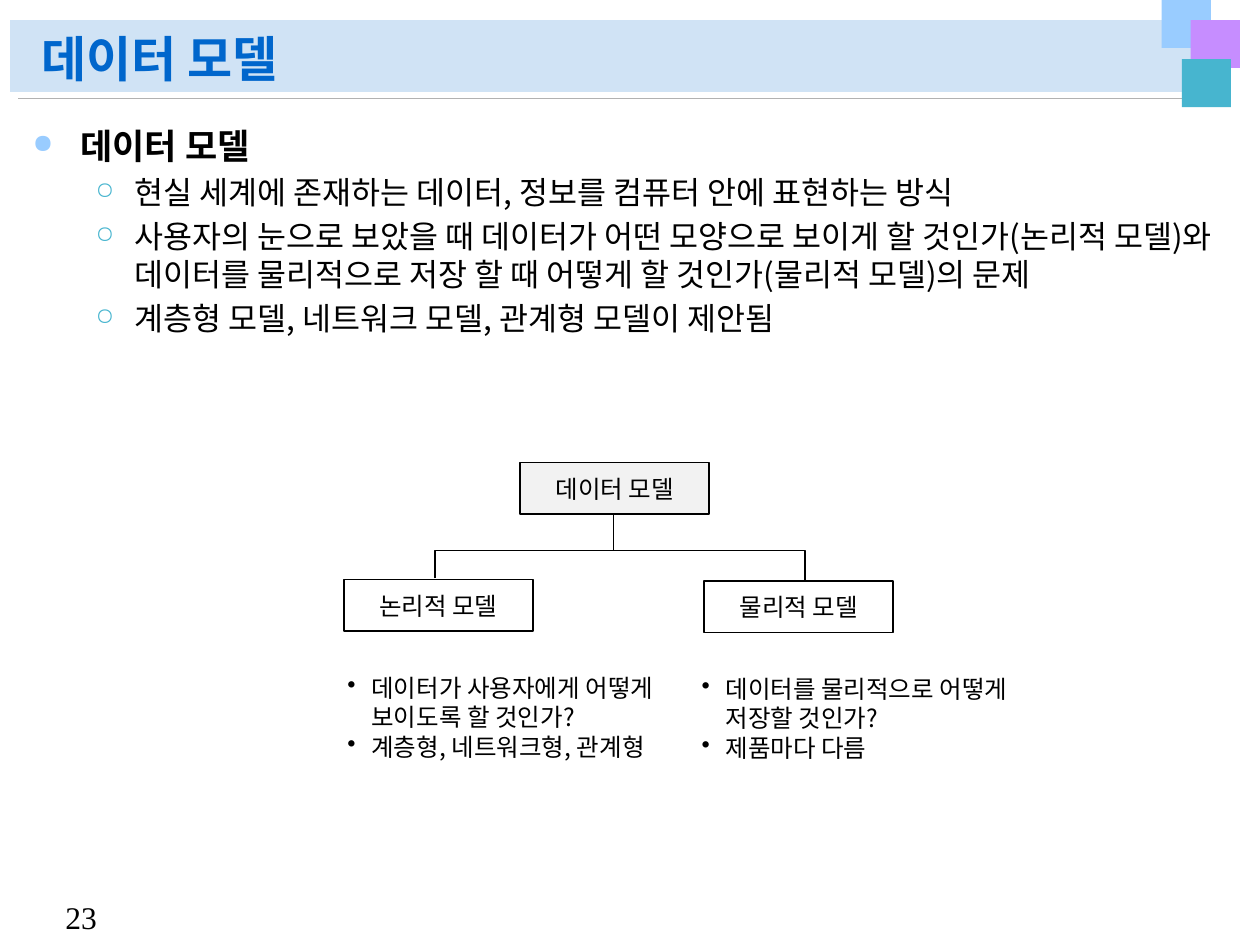
from dataclasses import dataclass

from lxml import etree
from pptx import Presentation
from pptx.dml.color import RGBColor
from pptx.enum.shapes import MSO_CONNECTOR, MSO_SHAPE
from pptx.enum.text import MSO_ANCHOR, PP_ALIGN
from pptx.oxml.ns import qn
from pptx.util import Inches, Pt

RECT = MSO_SHAPE.RECTANGLE
LINE = MSO_CONNECTOR.STRAIGHT
TOP, MIDDLE, BOTTOM = MSO_ANCHOR.TOP, MSO_ANCHOR.MIDDLE, MSO_ANCHOR.BOTTOM
LEFT, CENTER = PP_ALIGN.LEFT, PP_ALIGN.CENTER

SANS = "Noto Sans CJK KR"
SERIF = "Times New Roman"
COLORS = {
    "black": "000000",
    "white": "FFFFFF",
    "band": "D0E3F5",
    "sky": "99CCFF",
    "violet": "C68DFF",
    "teal": "47B5CF",
    "title": "0066CC",
    "rule": "B2B2B2",
    "gray": "F2F2F2",
}


@dataclass
class Box:
    left: float
    top: float
    width: float
    height: float

    def lengths(self) -> list:
        return [Inches(n) for n in (self.left, self.top, self.width, self.height)]


@dataclass
class Bullet:
    char: str
    margin: float
    hang: float
    color: str = "black"
    size: int = 100
    level: int = 0
    before: int = 0


@dataclass
class Node:
    text: str
    left: float
    top: float
    fill: str = "white"


@dataclass
class Note:
    left: float
    top: float
    lines: list


DOT = Bullet("●", 0.38, 0.38, "sky", 75, before=20)
RING = Bullet("○", 0.81, 0.31, "teal", 75, level=1, before=20)
POINT = Bullet("•", 0.31, 0.19)

BLOCKS = [
    (Box(9.22, 0, 0.39, 0.38), "sky"),
    (Box(9.45, 0.16, 0.39, 0.38), "violet"),
    (Box(9.38, 0.47, 0.39, 0.38), "teal"),
]
POINTS = [
    "현실 세계에 존재하는 데이터, 정보를 컴퓨터 안에 표현하는 방식",
    "사용자의 눈으로 보았을 때 데이터가 어떤 모양으로 보이게 할 것인가(논리적 모델)와 "
    "데이터를 물리적으로 저장 할 때 어떻게 할 것인가(물리적 모델)의 문제",
    "계층형 모델, 네트워크 모델, 관계형 모델이 제안됨",
]
NODES = [
    Node("데이터 모델", 4.13, 3.67, "gray"),
    Node("논리적 모델", 2.73, 4.6),
    Node("물리적 모델", 5.59, 4.61),
]
NOTES = [
    Note(2.54, 5.29, ["데이터가 사용자에게 어떻게 보이도록 할 것인가?", "계층형, 네트워크형, 관계형"]),
    Note(5.35, 5.3, ["데이터를 물리적으로 어떻게 저장할 것인가?", "제품마다 다름"]),
]


def tint(name: str) -> RGBColor:
    return RGBColor.from_string(COLORS[name])


def add_bullet(para, mark: Bullet) -> None:
    para.level = mark.level
    props = para._p.get_or_add_pPr()
    props.set("marL", str(Inches(mark.margin)))
    props.set("indent", str(-Inches(mark.hang)))
    if mark.before:
        space = etree.SubElement(props, qn("a:spcBef"))
        etree.SubElement(space, qn("a:spcPct"), val=str(mark.before * 1000))
    color = etree.SubElement(props, qn("a:buClr"))
    etree.SubElement(color, qn("a:srgbClr"), val=COLORS[mark.color])
    etree.SubElement(props, qn("a:buSzPct"), val=str(mark.size * 1000))
    etree.SubElement(props, qn("a:buChar"), char=mark.char)


def write(frame, text: str, *, size: float, color: str = "black", bold: bool = False,
          font: str = SANS, align=LEFT, anchor=TOP, wrap: bool = True,
          mark: Bullet | None = None, spacing: float | None = None) -> None:
    frame.word_wrap = wrap
    frame.vertical_anchor = anchor
    para = frame.paragraphs[0] if not frame.text else frame.add_paragraph()
    para.alignment = align
    if spacing:
        para.line_spacing = spacing
    if mark:
        add_bullet(para, mark)
    run = para.add_run()
    run.text = text
    run.font.size = Pt(size)
    run.font.bold = bold
    run.font.color.rgb = tint(color)
    run.font.name = font
    etree.SubElement(run._r.get_or_add_rPr(), qn("a:ea"), typeface=font)


def add_frame(slide, box: Box):
    return slide.shapes.add_textbox(*box.lengths()).text_frame


def add_rect(slide, box: Box, fill: str, line: str | None = None):
    shape = slide.shapes.add_shape(RECT, *box.lengths())
    shape.shadow.inherit = False
    shape.fill.solid()
    shape.fill.fore_color.rgb = tint(fill)
    if line:
        shape.line.color.rgb = tint(line)
        shape.line.width = Pt(1)
    else:
        shape.line.fill.background()
    return shape


def add_line(slide, start: tuple, end: tuple, color: str) -> None:
    line = slide.shapes.add_connector(LINE, *[Inches(n) for n in start + end])
    line.line.color.rgb = tint(color)
    line.line.width = Pt(0.5)
    etree.SubElement(line._element.spPr, qn("a:effectLst"))


def add_fork(slide, points: list) -> None:
    spots = [(Inches(x), Inches(y)) for x, y in points]
    path = slide.shapes.build_freeform(*spots[0])
    path.add_line_segments(spots[1:], close=False)
    fork = path.convert_to_shape()
    fork.shadow.inherit = False
    fork.fill.background()
    fork.line.color.rgb = tint("black")
    fork.line.width = Pt(1)


def add_node(slide, node: Node) -> None:
    shape = add_rect(slide, Box(node.left, node.top, 1.5, 0.41), node.fill, "black")
    write(shape.text_frame, node.text, size=14, align=CENTER, anchor=MIDDLE)


def add_note(slide, note: Note) -> None:
    frame = add_frame(slide, Box(note.left, note.top, 2.94, 0.81))
    for line in note.lines:
        write(frame, line, size=14, mark=POINT)


def main() -> None:
    deck = Presentation()
    deck.slide_width, deck.slide_height = Inches(10), Inches(7.5)
    slide = deck.slides.add_slide(deck.slide_layouts[6])

    add_rect(slide, Box(0.08, 0.16, 9.69, 0.57), "band")
    add_line(slide, (9.74, 0.78), (0.14, 0.78), "rule")
    for box, fill in BLOCKS:
        add_rect(slide, box, fill)
    write(add_frame(slide, Box(0.42, 7.08, 0.5, 0.4)), "23", size=18, font=SERIF, wrap=False)
    write(add_frame(slide, Box(0.23, 0.17, 8.98, 0.58)), "데이터 모델", size=28,
          color="title", bold=True, anchor=BOTTOM, spacing=0.9)

    body = add_frame(slide, Box(0.16, 0.94, 9.61, 6.02))
    write(body, "데이터 모델", size=20, bold=True, mark=DOT)
    for text in POINTS:
        write(body, text, size=18, mark=RING)

    for node in NODES:
        add_node(slide, node)
    add_fork(slide, [(3.45, 4.59), (3.45, 4.37), (6.39, 4.37), (6.39, 4.61)])
    add_line(slide, (4.87, 4.08), (4.87, 4.37), "black")
    for note in NOTES:
        add_note(slide, note)
    deck.save("out.pptx")


if __name__ == "__main__":
    main()
